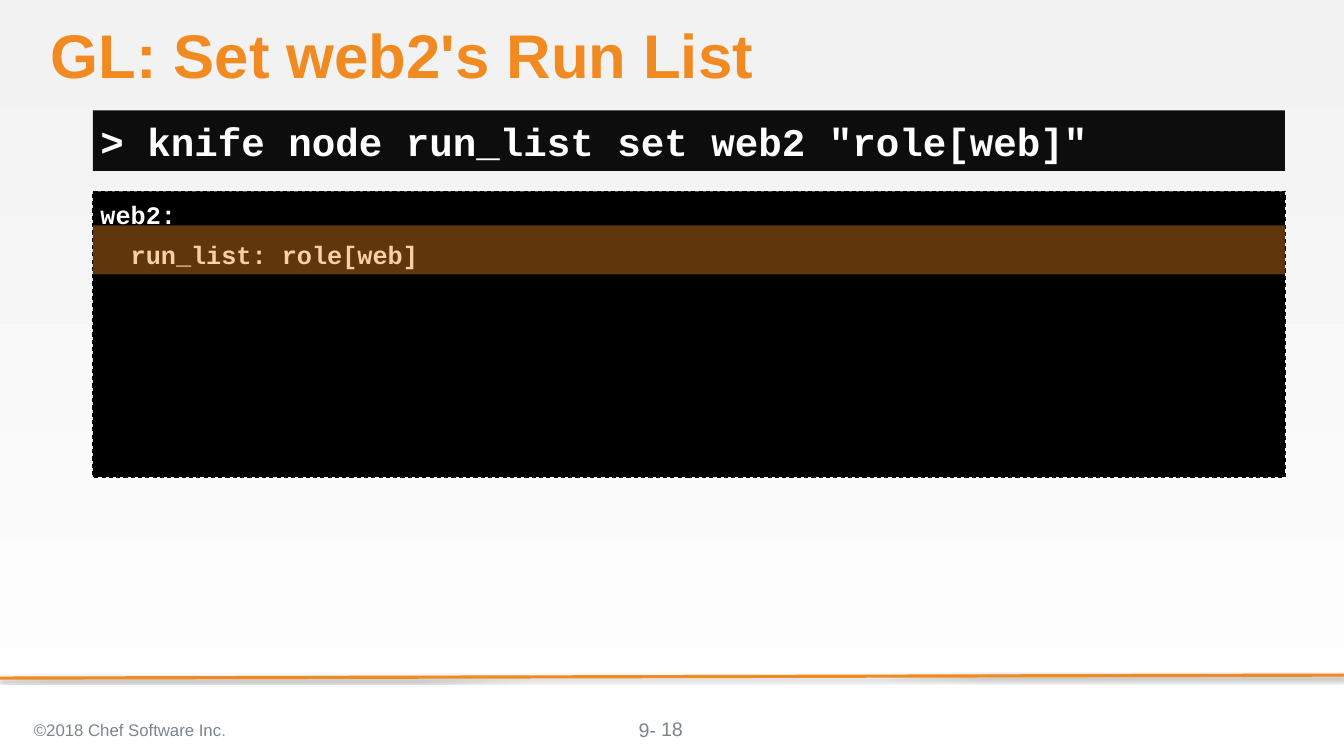
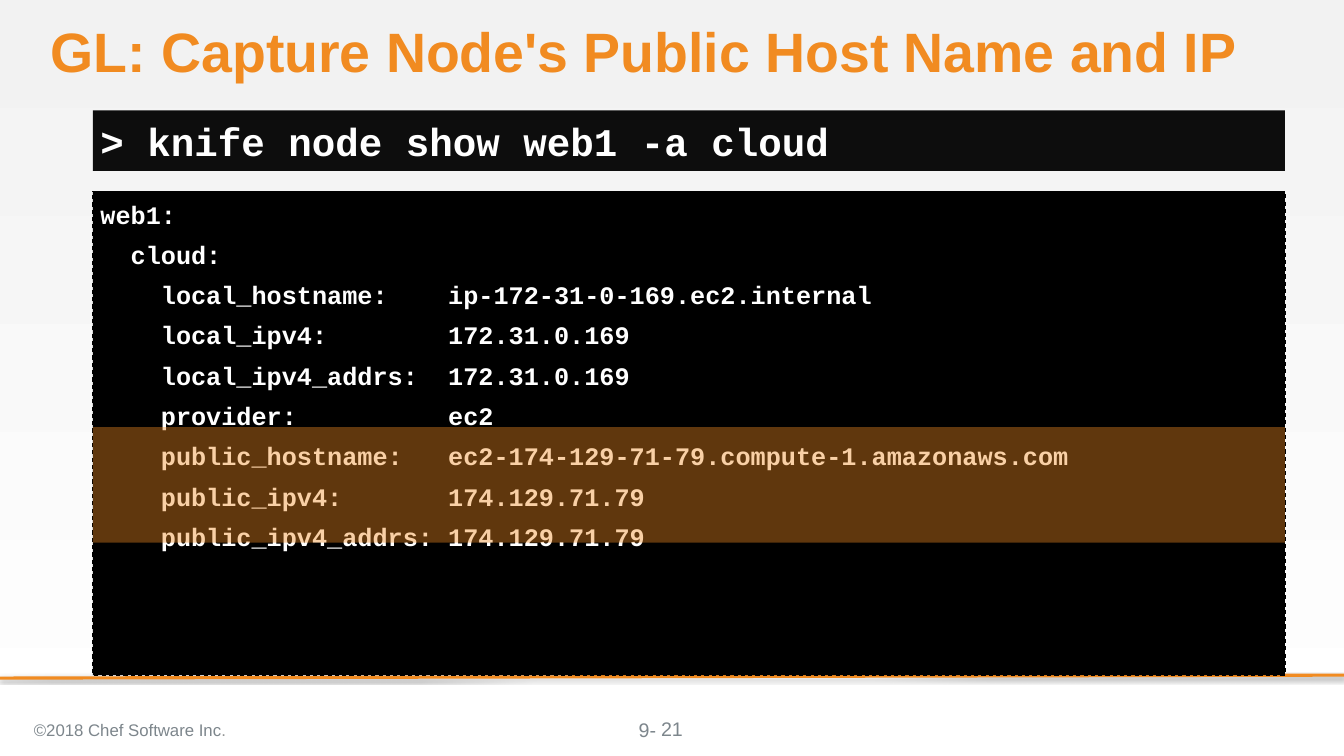
import pptx
import pptx.dml.color
import pptx.enum.dml
import pptx.enum.shapes
import pptx.enum.text
import pptx.oxml
import pptx.oxml.ns
import pptx.util

Inches = pptx.util.Inches
Pt = pptx.util.Pt
ALIGN = pptx.enum.text.PP_ALIGN
ANCHOR = pptx.enum.text.MSO_ANCHOR

COLORS = {
    "orange": "F18B21",
    "sky_top": "F2F2F2",
    "white": "FFFFFF",
    "black": "000000",
    "command": "0D0D0D",
    "footer": "7D868C",
    "footer_dot": "929494",
}
SANS, MONO = "Arial", "Courier New"
SLIDE_WIDTH, SLIDE_HEIGHT = 17.78, 10
TITLE_BOX = (0.67, 0.33, 16.33, 0.91)
COMMAND_BOX = (1.23, 1.46, 15.77, 0.8)
TERMINAL_LEFT, TERMINAL_TOP, TERMINAL_WIDTH = 1.23, 2.53, 15.77

SLIDES = [
    {
        "title": "GL: Set web2's Run List",
        "title_size": 58.7,
        "command": '> knife node run_list set web2 "role[web]"',
        "output": ["web2:", "  run_list: role[web]"],
        "terminal_height": 3.78,
        "highlight": (0.45, 0.65),
        "page": "18",
    },
    {
        "title": "GL: Capture Node's Public Host Name and IP",
        "title_size": 52.8,
        "command": "> knife node show web1 -a cloud",
        "output": [
            "web1:",
            "  cloud:",
            "    local_hostname:    ip-172-31-0-169.ec2.internal",
            "    local_ipv4:        172.31.0.169",
            "    local_ipv4_addrs:  172.31.0.169",
            "    provider:          ec2",
            "    public_hostname:   ec2-174-129-71-79.compute-1.amazonaws.com",
            "    public_ipv4:       174.129.71.79",
            "    public_ipv4_addrs: 174.129.71.79",
        ],
        "terminal_height": 6.4,
        "highlight": (3.12, 1.53),
        "page": "21",
    },
]


def rgb(name):
    return pptx.dml.color.RGBColor.from_string(COLORS[name])


def write(shape, lines, size, color, font=SANS, bold=False, align=ALIGN.LEFT,
          anchor=ANCHOR.TOP, insets=(0.1, 0.05, 0.1, 0.05), gap=0, spacing=None):
    """Fill a shape with lines; a line is a string or a list of (text, color) runs."""
    frame = shape.text_frame
    frame.word_wrap = True
    frame.vertical_anchor = anchor
    (frame.margin_left, frame.margin_top,
     frame.margin_right, frame.margin_bottom) = map(Inches, insets)
    for index, line in enumerate(lines):
        paragraph = frame.paragraphs[0] if index == 0 else frame.add_paragraph()
        paragraph.alignment = align
        if spacing:
            paragraph.line_spacing = spacing
        if index and gap:
            paragraph.space_before = Pt(gap)
        for text, run_color in [(line, color)] if isinstance(line, str) else line:
            run = paragraph.add_run()
            run.text = text
            run.font.name = font
            run.font.size = Pt(size)
            run.font.bold = bold
            run.font.color.rgb = rgb(run_color)


def add_text(slide, box, lines, **text_format):
    write(slide.shapes.add_textbox(*map(Inches, box)), lines, **text_format)


def add_band(slide, box, color, opacity=None):
    band = slide.shapes.add_shape(
        pptx.enum.shapes.MSO_SHAPE.RECTANGLE, *map(Inches, box))
    band.shadow.inherit = False
    band.fill.solid()
    band.fill.fore_color.rgb = rgb(color)
    band.line.fill.background()
    if opacity is not None:
        fill_color = band.fill._xPr.find(".//" + pptx.oxml.ns.qn("a:srgbClr"))
        fill_color.append(pptx.oxml.parse_xml(
            f'<a:alpha {pptx.oxml.ns.nsdecls("a")} val="{opacity * 1000}"/>'))
    return band


def paint_background(slide):
    fill = slide.background.fill
    fill.gradient()
    fill.gradient_angle = 270
    for stop, color in zip(fill.gradient_stops, ("sky_top", "white")):
        stop.color.rgb = rgb(color)


def add_footer_rule(slide):
    rule = slide.shapes.add_connector(
        pptx.enum.shapes.MSO_CONNECTOR.STRAIGHT,
        Inches(SLIDE_WIDTH), Inches(8.93), Inches(0), Inches(8.97))
    rule.line.color.rgb = rgb("orange")
    rule.line.width = Pt(3)
    rule._element.spPr.append(pptx.oxml.parse_xml(
        f'<a:effectLst {pptx.oxml.ns.nsdecls("a")}>'
        f'<a:outerShdw blurRad="{Pt(3.1)}" dist="{Pt(1.8)}" dir="5400000" rotWithShape="0">'
        f'<a:srgbClr val="{COLORS["black"]}"><a:alpha val="35000"/></a:srgbClr>'
        '</a:outerShdw></a:effectLst>'))


def add_footer(slide, page):
    add_text(slide, (8.34, 9.49, 0.8, 0.31), ["9-"], size=18.7, color="footer",
             insets=(0.11, 0, 0, 0))
    add_text(slide, (0.35, 9.38, 6.21, 0.56),
             [[("©2018 Chef Software Inc", "footer"), (".", "footer_dot")]],
             size=16, color="footer", anchor=ANCHOR.MIDDLE)
    add_text(slide, (6.89, 9.38, 4, 0.53), [page], size=18.7, color="footer",
             align=ALIGN.CENTER, anchor=ANCHOR.MIDDLE)


def add_terminal(slide, box, output, highlight):
    """Black output panel with a translucent band, given as (offset, height)."""
    left, top, width, _ = box
    panel = add_band(slide, box, "black")
    panel.line.color.rgb = rgb("black")
    panel.line.width = Pt(1)
    panel.line.dash_style = pptx.enum.dml.MSO_LINE.DASH
    write(panel, output, size=24, color="white", font=MONO, bold=True, gap=9.6,
          insets=(0.1, 0.1, 0.1, 0.05))
    offset, height = highlight
    add_band(slide, (left, top + offset, width, height), "orange", opacity=40)


def add_command_slide(deck, content):
    slide = deck.slides.add_slide(deck.slide_layouts[6])
    paint_background(slide)
    add_footer_rule(slide)
    add_terminal(slide,
                 (TERMINAL_LEFT, TERMINAL_TOP, TERMINAL_WIDTH, content["terminal_height"]),
                 content["output"], content["highlight"])
    add_text(slide, TITLE_BOX, [content["title"]], size=content["title_size"],
             color="orange", bold=True, insets=(0, 0, 0, 0), spacing=0.9)
    write(add_band(slide, COMMAND_BOX, "command"), [content["command"]], size=37.3,
          color="white", font=MONO, bold=True, anchor=ANCHOR.MIDDLE,
          insets=(0.1, 0, 0, 0))
    add_footer(slide, content["page"])


def main():
    deck = pptx.Presentation()
    deck.slide_width = Inches(SLIDE_WIDTH)
    deck.slide_height = Inches(SLIDE_HEIGHT)
    for content in SLIDES:
        add_command_slide(deck, content)
    deck.save("out.pptx")


if __name__ == "__main__":
    main()
